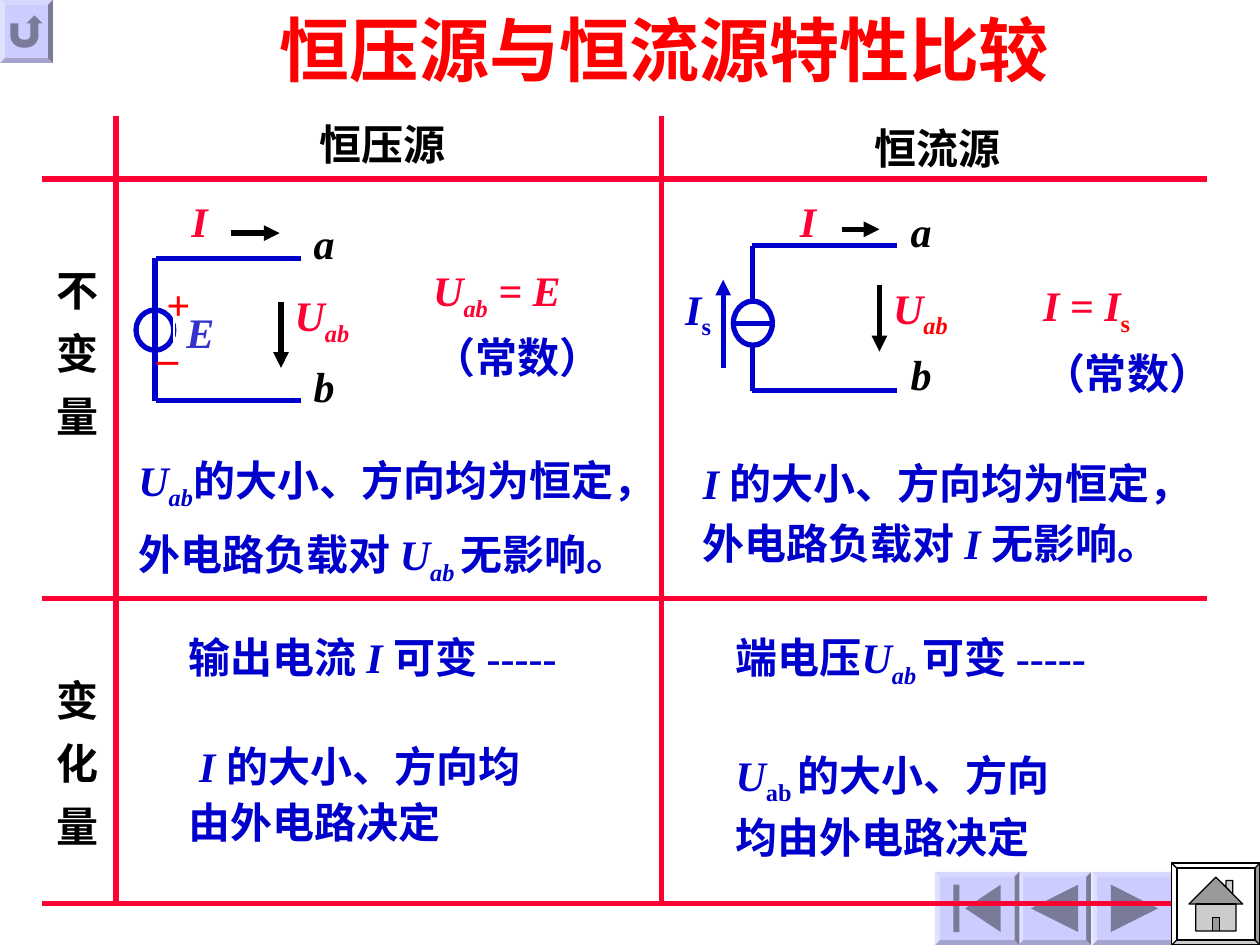
"""Build a one-slide comparison of constant voltage and constant current sources."""
from typing import NamedTuple

from lxml import etree
from pptx import Presentation
from pptx import util as u
from pptx.dml.color import RGBColor
from pptx.enum import shapes, text
from pptx.oxml.ns import qn

COLORS = {
    "title": "FF0000", "grid": "FF0033", "blue": "0000CC", "emf": "3333CC",
    "black": "000000", "white": "FFFFFF", "button": "CCCCFF",
}
FONT = "Times New Roman"
M = shapes.MSO_SHAPE
Box = tuple[float, float, float, float]

class Run(NamedTuple):
    text: str
    italic: bool = False
    sub: bool = False
    color: str | None = None
    spacing: int = 0

class Line(NamedTuple):
    x1: float
    y1: float
    x2: float
    y2: float
    color: str = "blue"
    arrow: bool = False

class Label(NamedTuple):
    at: Box
    lines: list[list[Run]]
    color: str = "black"
    spacing: float = 1.0
    gaps: dict[int, int] = {}
    vertical: bool = False
    border: str | None = None

def var(value: str) -> Run:
    return Run(value, italic=True)

def sub(value: str, italic: bool = True, color: str | None = None) -> Run:
    return Run(value, italic, True, color)

def rgb(name: str) -> RGBColor:
    return RGBColor.from_string(COLORS[name])

def set_border(sp, color: str | None, width: float) -> None:
    if color is None:
        sp.line.fill.background()
        return
    sp.line.color.rgb = rgb(color)
    sp.line.width = u.Pt(width)

def add_run(p, run: Run, *, size: float = 24, color: str = "black") -> None:
    r = p.add_run()
    r.text = run.text
    r.font.name, r.font.size, r.font.bold = FONT, u.Pt(size), True
    r.font.italic = run.italic
    r.font.color.rgb = rgb(run.color or color)
    if run.sub:
        r.font._element.set("baseline", "-25000")
    if run.spacing:
        r.font._element.set("spc", str(run.spacing * 100))

def set_frame(tf) -> None:
    tf.word_wrap = False
    tf.auto_size = text.MSO_AUTO_SIZE.SHAPE_TO_FIT_TEXT
    tf.vertical_anchor = text.MSO_ANCHOR.TOP

def draw_title(s, value: str) -> None:
    sp = s.shapes.title
    sp.left, sp.top, sp.width, sp.height = map(u.Inches, (2.12, 0, 6.4, 0.77))
    set_border(sp, "white", 1)
    set_frame(sp.text_frame)
    p = sp.text_frame.paragraphs[0]
    p.alignment = text.PP_ALIGN.LEFT
    add_run(p, Run(value), size=40, color="title")

def draw_label(s, label: Label) -> None:
    sp = s.shapes.add_textbox(*map(u.Inches, label.at))
    set_border(sp, label.border, 1)
    tf = sp.text_frame
    set_frame(tf)
    if label.vertical:
        tf.margin_left = tf.margin_right = u.Inches(0.05)
        tf.margin_top = tf.margin_bottom = u.Inches(0.1)
        tf._txBody.bodyPr.set("vert", "eaVert")
    for i, runs in enumerate(label.lines):
        p = tf.add_paragraph() if i else tf.paragraphs[0]
        p.line_spacing = label.spacing
        if i in label.gaps:
            p.space_before = u.Pt(label.gaps[i])
        for run in runs:
            add_run(p, run, color=label.color)

def draw_line(s, line: Line) -> None:
    ends = map(u.Inches, (line.x1, line.y1, line.x2, line.y2))
    sp = s.shapes.add_connector(shapes.MSO_CONNECTOR.STRAIGHT, *ends)
    set_border(sp, line.color, 3)
    if line.arrow:
        etree.SubElement(sp.line._get_or_add_ln(), qn("a:tailEnd"), type="triangle")
    etree.SubElement(sp._element.spPr, qn("a:effectLst"))

def draw_shape(s, kind: M, at: Box, fill: str, border: str | None, width: float = 0.75):
    sp = s.shapes.add_shape(kind, *map(u.Inches, at))
    sp.shadow.inherit = False
    sp.fill.solid()
    sp.fill.fore_color.rgb = rgb(fill)
    set_border(sp, border, width)
    return sp

def draw_button(s, kind: M, at: Box, fill: str = "button", border: str | None = None) -> None:
    x, y, w, h = at
    edge = 0.04
    bevel = draw_shape(s, M.BEVEL, at, fill, border)
    bevel.adjustments[0] = edge / min(w, h)
    inner = (x + edge, y + edge, w - 2 * edge, h - 2 * edge)
    draw_shape(s, kind, inner, fill, border)

NAV = [
    (M.ACTION_BUTTON_RETURN, (0, 0, 0.42, 0.5)),
    (M.ACTION_BUTTON_BACK_OR_PREVIOUS, (8.08, 6.92, 0.58, 0.58)),
    (M.ACTION_BUTTON_FORWARD_OR_NEXT, (8.67, 6.92, 0.67, 0.58)),
    (M.ACTION_BUTTON_BEGINNING, (7.42, 6.92, 0.67, 0.58)),
    (M.ACTION_BUTTON_END, (9.33, 6.92, 0.67, 0.58)),
]
GRID = [Line(0.33, y, 9.58, y, "grid") for y in (1.42, 4.75, 7.17)]
GRID += [Line(x, 0.92, x, 7.17, "grid") for x in (5.25, 0.92)]
SOURCES = [(1.08, 2.46, 0.3, 0.32), (5.82, 2.39, 0.31, 0.35)]
WIRES = [
    Line(1.23, 2.05, 1.23, 3.18), Line(1.24, 2.05, 2.39, 2.05), Line(1.24, 3.18, 2.39, 3.18),
    Line(1.83, 1.85, 2.22, 1.85, "black", True), Line(2.23, 2.4, 2.23, 2.92, "black", True),
    Line(5.97, 1.95, 7.12, 1.95), Line(5.97, 3.1, 7.12, 3.1),
    Line(6.68, 1.82, 6.98, 1.82, "black", True), Line(6.98, 2.26, 6.98, 2.79, "black", True),
    Line(5.82, 2.57, 6.13, 2.57), Line(5.97, 2.39, 5.97, 1.95), Line(5.97, 3.1, 5.97, 2.74),
    Line(5.74, 2.92, 5.74, 2.22, arrow=True),
]
CONSTANT = [Run("（常数）", color="blue")]
LABELS = [
    Label((2.44, 0.89, 1.2, 0.5), [[Run("恒压源")]]),
    Label((6.84, 0.92, 1.2, 0.5), [[Run("恒流源")]]),
    *(Label((0.25, y, 0.6, 1.41), [[Run(head, spacing=12), Run("量")]], vertical=True)
      for y, head in ((2.04, "不变"), (5.29, "变化"))),
    Label((1.38, 2.38, 0.42, 0.5), [[var("E")]], "emf", border="white"),
    Label((1.22, 2.16, 0.39, 0.5), [[var("+")]], "title"),
    Label((1.17, 2.47, 0.37, 0.5), [[var("_")]], "title"),
    *(Label((x, y, 0.36, 0.5), [[var(name)]]) for x, y, name in (
        (2.39, 1.68, "a"), (2.39, 2.81, "b"), (7.13, 1.58, "a"), (7.13, 2.72, "b"))),
    *(Label((x, 1.5, 0.33, 0.5), [[var("I")]], "grid") for x in (1.42, 6.25)),
    Label((2.24, 2.25, 0.67, 0.56), [[var("U"), sub("ab")]], "grid"),
    Label((6.99, 2.19, 0.67, 0.56), [[var("U"), sub("ab", color="title")]], "grid"),
    Label((5.34, 2.2, 0.44, 0.56), [[var("I"), sub("s", False)]], "blue"),
    Label((3.34, 1.96, 1.53, 1.13), [[var("U"), sub("ab"), var(" = E")], CONSTANT], "grid", 1.2),
    Label((8.18, 2.08, 1.53, 1.13),
          [[var("I = I"), sub("s", False, "title")], CONSTANT], "grid", 1.2),
    Label((1, 3.42, 4.38, 1.29), [
        [var("U"), sub("ab"), Run("的大小、方向均为恒定，")],
        [Run("外电路负载对 "), var("U"), sub("ab "), Run("无影响。")]], "blue", 1.3),
    Label((5.48, 3.5, 4.16, 1.06), [
        [var("I "), Run("的大小、方向均为恒定，")],
        [Run("外电路负载对 "), var("I "), Run("无影响。")]], "blue", 1.2),
    Label((1.4, 4.92, 3.36, 1.86), [
        [Run("输出电流 "), var("I "), Run("可变 -----")],
        [var(" I "), Run("的大小、方向均")], [Run("由外电路决定")]], "blue", 1.1, {1: 31}),
    Label((5.74, 4.92, 3.25, 1.98), [
        [Run("端电压"), var("U"), sub("ab "), Run("可变 -----")],
        [var("U"), sub("ab ", False), Run("的大小、方向")],
        [Run("均由外电路决定")]], "blue", 1.1, {1: 31}),
]

prs = Presentation()
prs.slide_width, prs.slide_height = u.Inches(10), u.Inches(7.5)
s = prs.slides.add_slide(prs.slide_layouts[5])
draw_title(s, "恒压源与恒流源特性比较")
for button, place in NAV:
    draw_button(s, button, place)
for place in SOURCES:
    draw_shape(s, M.OVAL, place, "white", "blue", 3)
for line in GRID + WIRES:
    draw_line(s, line)
for label in LABELS:
    draw_label(s, label)
draw_button(s, M.ACTION_BUTTON_HOME, (9.3, 6.85, 0.7, 0.65), "white", "black")
prs.save("out.pptx")
